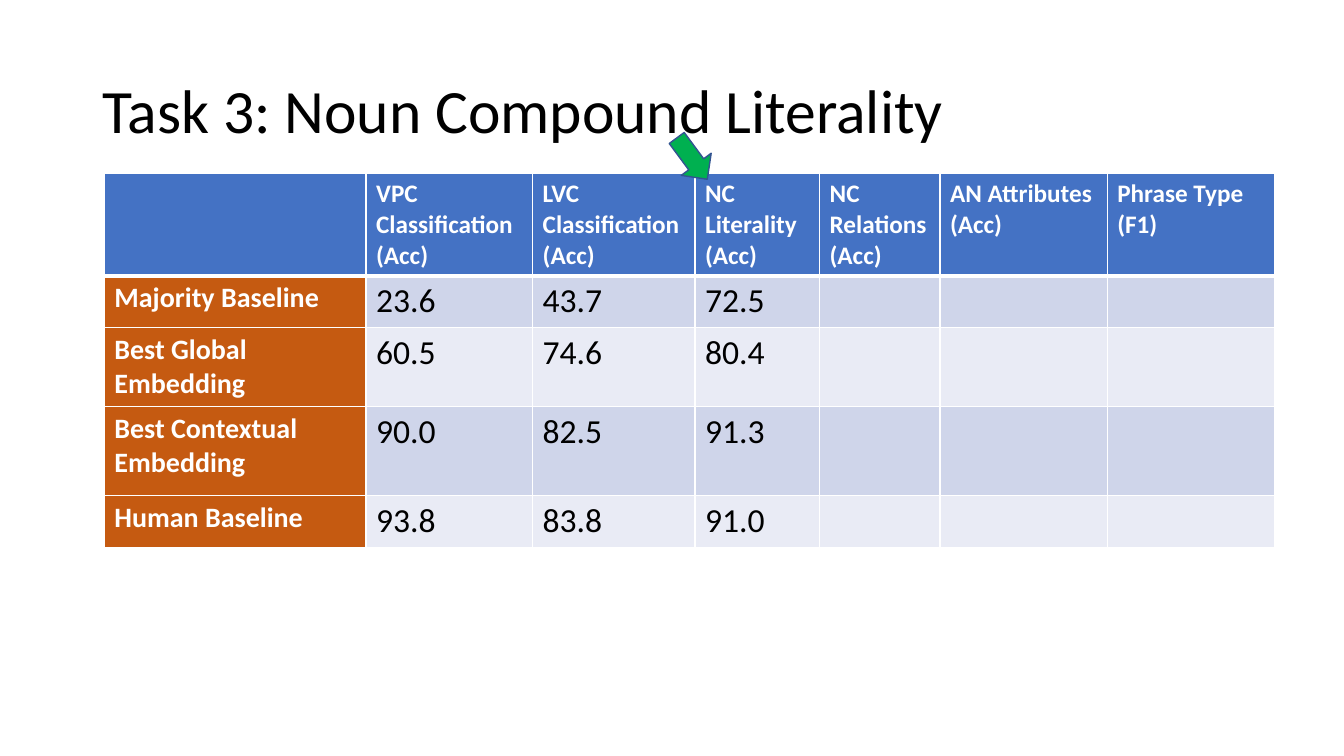
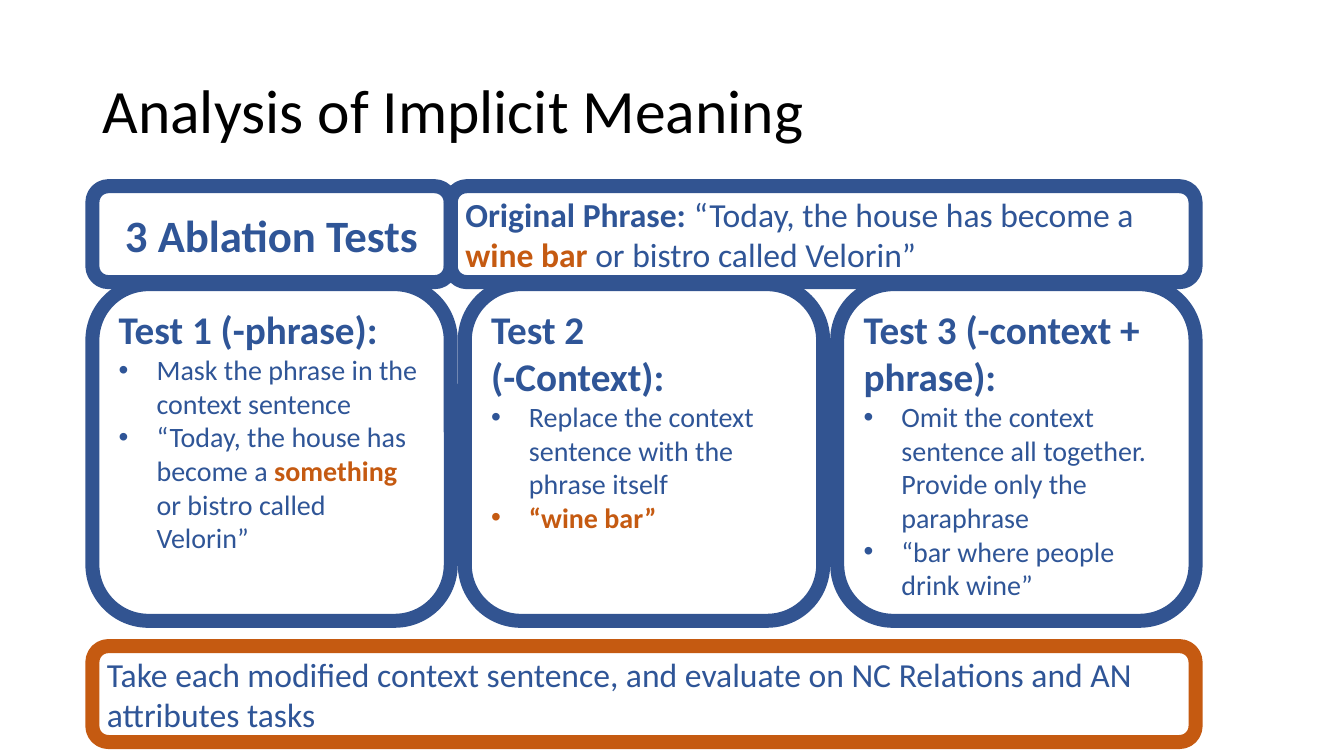
from dataclasses import dataclass

from lxml import etree
from pptx import Presentation
from pptx.dml.color import RGBColor
from pptx.enum.shapes import MSO_SHAPE as SHAPE
from pptx.enum.text import MSO_ANCHOR as ANCHOR, MSO_AUTO_SIZE as AUTOSIZE, PP_ALIGN as ALIGN
from pptx.oxml.ns import qn
from pptx.util import Pt

FONT = "Calibri"
COLORS = {
    "black": "000000", "white": "FFFFFF", "header": "4472C4",
    "orange": "C55A11", "band_dark": "CFD5EA", "band_light": "E9EBF5",
    "green": "00B050", "outline": "325491", "blue": "2F5597",
}


@dataclass(frozen=True)
class Span:
    text: str
    bold: bool = False
    color: str = "blue"


@dataclass(frozen=True)
class Para:
    spans: tuple[Span, ...]
    size: float = 24
    bullet: bool = False
    align: ALIGN = ALIGN.LEFT


@dataclass(frozen=True)
class Box:
    left: float
    top: float
    width: float
    height: float
    paras: tuple[Para, ...]
    line: str = "outline"
    anchor: ANCHOR = ANCHOR.MIDDLE


# Shared helpers
def rgb(name: str) -> RGBColor:
    return RGBColor.from_string(COLORS[name])


def style_run(r, size: float, color: str, bold: bool = False) -> None:
    r.font.name, r.font.size, r.font.bold = FONT, Pt(size), bold
    r.font.color.rgb = rgb(color)


def add_titled_slide(prs, title: str):
    slide = prs.slides.add_slide(prs.slide_layouts[5])
    sp = slide.shapes.title
    sp.left, sp.top, sp.width, sp.height = Pt(66), Pt(28.75), Pt(828), Pt(104.4)
    tf = sp.text_frame
    tf.text = title
    tf.auto_size = AUTOSIZE.NONE
    tf.vertical_anchor = ANCHOR.MIDDLE
    p = tf.paragraphs[0]
    p.alignment, p.line_spacing = ALIGN.LEFT, 0.9
    style_run(p.runs[0], 44, "black")
    return slide


def add_bullet(p) -> None:
    pPr = p._p.get_or_add_pPr()
    pPr.set("marL", str(Pt(27)))
    pPr.set("indent", str(-Pt(27)))
    etree.SubElement(pPr, qn("a:buFont")).set("typeface", "Arial")
    etree.SubElement(pPr, qn("a:buChar")).set("char", "•")


def add_box(slide, box: Box) -> None:
    sp = slide.shapes.add_shape(SHAPE.ROUNDED_RECTANGLE, Pt(box.left), Pt(box.top),
                                Pt(box.width), Pt(box.height))
    sp.shadow.inherit = False
    sp.fill.background()
    sp.line.color.rgb, sp.line.width = rgb(box.line), Pt(10)
    tf = sp.text_frame
    tf.word_wrap, tf.vertical_anchor = True, box.anchor
    for i, para in enumerate(box.paras):
        p = tf.add_paragraph() if i else tf.paragraphs[0]
        p.alignment = para.align
        if para.bullet:
            add_bullet(p)
        for span in para.spans:
            r = p.add_run()
            r.text = span.text
            style_run(r, para.size, span.color, span.bold)


def set_borders(cell, top: float, bottom: float) -> None:
    tcPr = cell._tc.get_or_add_tcPr()
    widths = {"a:lnL": 1, "a:lnR": 1, "a:lnT": top, "a:lnB": bottom}
    for i, (tag, width) in enumerate(widths.items()):
        ln = etree.Element(qn(tag), w=str(Pt(width)))
        fill = etree.SubElement(ln, qn("a:solidFill"))
        etree.SubElement(fill, qn("a:srgbClr")).set("val", COLORS["white"])
        tcPr.insert(i, ln)


# Slide 1: results table
COL_WIDTHS = (187, 119, 116, 89, 86, 119.5, 119.5)
ROW_HEIGHTS = (73, 37, 56.5, 63.5, 37)
RESULTS = (
    ("", "VPC Classification (Acc)", "LVC Classification (Acc)", "NC Literality (Acc)",
     "NC Relations (Acc)", "AN Attributes (Acc)", "Phrase Type (F1)"),
    ("Majority Baseline", "23.6", "43.7", "72.5", "", "", ""),
    ("Best Global Embedding", "60.5", "74.6", "80.4", "", "", ""),
    ("Best Contextual Embedding", "90.0", "82.5", "91.3", "", "", ""),
    ("Human Baseline", "93.8", "83.8", "91.0", "", "", ""),
)


def cell_style(row: int, col: int) -> tuple[str, float, str, bool]:
    """Fill, text size, text colour and weight of a table cell."""
    if row == 0:
        return "header", 18, "white", True
    if col == 0:
        return "orange", 20, "white", True
    return ("band_dark" if row % 2 else "band_light"), 24, "black", False


def add_results_table(slide) -> None:
    table = slide.shapes.add_table(len(RESULTS), len(COL_WIDTHS), Pt(74.5), Pt(124),
                                   Pt(sum(COL_WIDTHS)), Pt(sum(ROW_HEIGHTS))).table
    for column, width in zip(table.columns, COL_WIDTHS):
        column.width = Pt(width)
    for i, (height, texts) in enumerate(zip(ROW_HEIGHTS, RESULTS)):
        table.rows[i].height = Pt(height)
        for j, text in enumerate(texts):
            cell = table.cell(i, j)
            fill, size, color, bold = cell_style(i, j)
            cell.fill.solid()
            cell.fill.fore_color.rgb = rgb(fill)
            set_borders(cell, top=3 if i == 1 else 1, bottom=3 if i == 0 else 1)
            if text:
                cell.text_frame.text = text
                style_run(cell.text_frame.paragraphs[0].runs[0], size, color, bold)


def build_results(prs) -> None:
    slide = add_titled_slide(prs, "Task 3: Noun Compound Literality")
    add_results_table(slide)
    arrow = slide.shapes.add_shape(SHAPE.LEFT_ARROW, Pt(476), Pt(100), Pt(36.7), Pt(26.6))
    arrow.rotation = 233.5
    arrow.shadow.inherit = False
    arrow.fill.solid()
    arrow.fill.fore_color.rgb = rgb("green")
    arrow.line.color.rgb, arrow.line.width = rgb("outline"), Pt(1)


# Slide 2: ablation tests
LEFT, FULL_WIDTH, TEST_WIDTH = 66, 788, 256
TEST_STEP = (FULL_WIDTH - TEST_WIDTH) / 2
BAND_TOP, BAND_HEIGHT = 133, 68.5


def heading(text: str) -> Para:
    return Para((Span(text, True),), 28)


def bullet(*spans: Span) -> Para:
    return Para(spans, 20, bullet=True)


SENTENCE_START = Span("“Today, the house has become a ")
SENTENCE_END = Span("or bistro called Velorin”")
TESTS = (
    (heading("Test 1 (-phrase):"),
     bullet(Span("Mask the phrase in the context sentence")),
     bullet(SENTENCE_START, Span("something ", True, "orange"), SENTENCE_END)),
    (heading("Test 2"), heading("(-Context):"),
     bullet(Span("Replace the context sentence with the phrase itself")),
     bullet(Span("“wine bar”", True, "orange"))),
    (heading("Test 3 (-context + phrase):"),
     bullet(Span("Omit the context sentence all together. Provide only the paraphrase")),
     bullet(Span("“bar where people drink wine”"))),
)
ORIGINAL_PHRASE = Para((Span("Original Phrase: ", True), SENTENCE_START,
                        Span("wine bar ", True, "orange"), SENTENCE_END))
EVALUATION = Para((Span("Take each modified context sentence, and evaluate on "
                        "NC Relations and AN attributes tasks"),))


def build_analysis(prs) -> None:
    slide = add_titled_slide(prs, "Analysis of Implicit Meaning")
    label = Para((Span("3 Ablation Tests", True),), 32, align=ALIGN.CENTER)
    add_box(slide, Box(LEFT, BAND_TOP, TEST_WIDTH, BAND_HEIGHT, (label,)))
    add_box(slide, Box(LEFT + TEST_WIDTH, BAND_TOP, FULL_WIDTH - TEST_WIDTH, BAND_HEIGHT,
                       (ORIGINAL_PHRASE,)))
    for i, paras in enumerate(TESTS):
        add_box(slide, Box(LEFT + i * TEST_STEP, 203, TEST_WIDTH, 240.5, paras,
                           anchor=ANCHOR.TOP))
    add_box(slide, Box(LEFT, 461.5, FULL_WIDTH, BAND_HEIGHT, (EVALUATION,), "orange"))


def main() -> None:
    prs = Presentation()
    prs.slide_width, prs.slide_height = Pt(960), Pt(540)
    build_results(prs)
    build_analysis(prs)
    prs.save("out.pptx")


if __name__ == "__main__":
    main()
